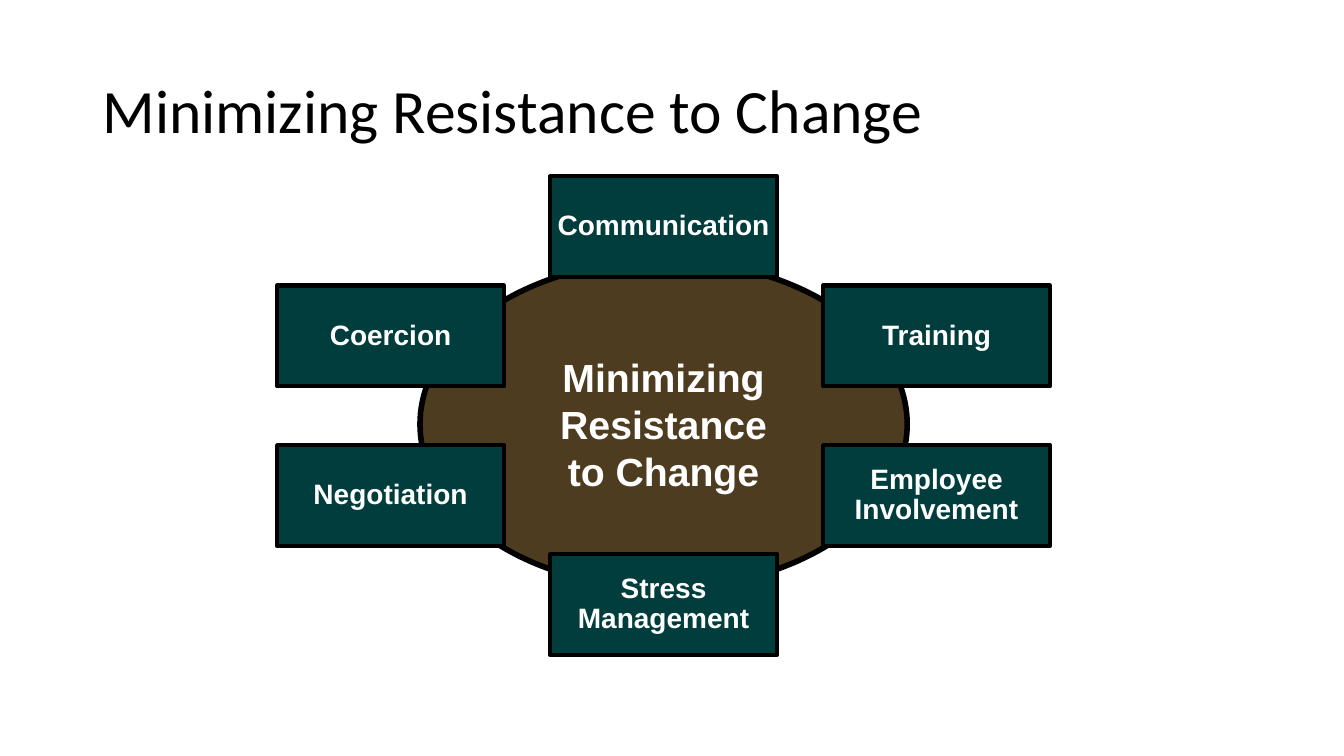
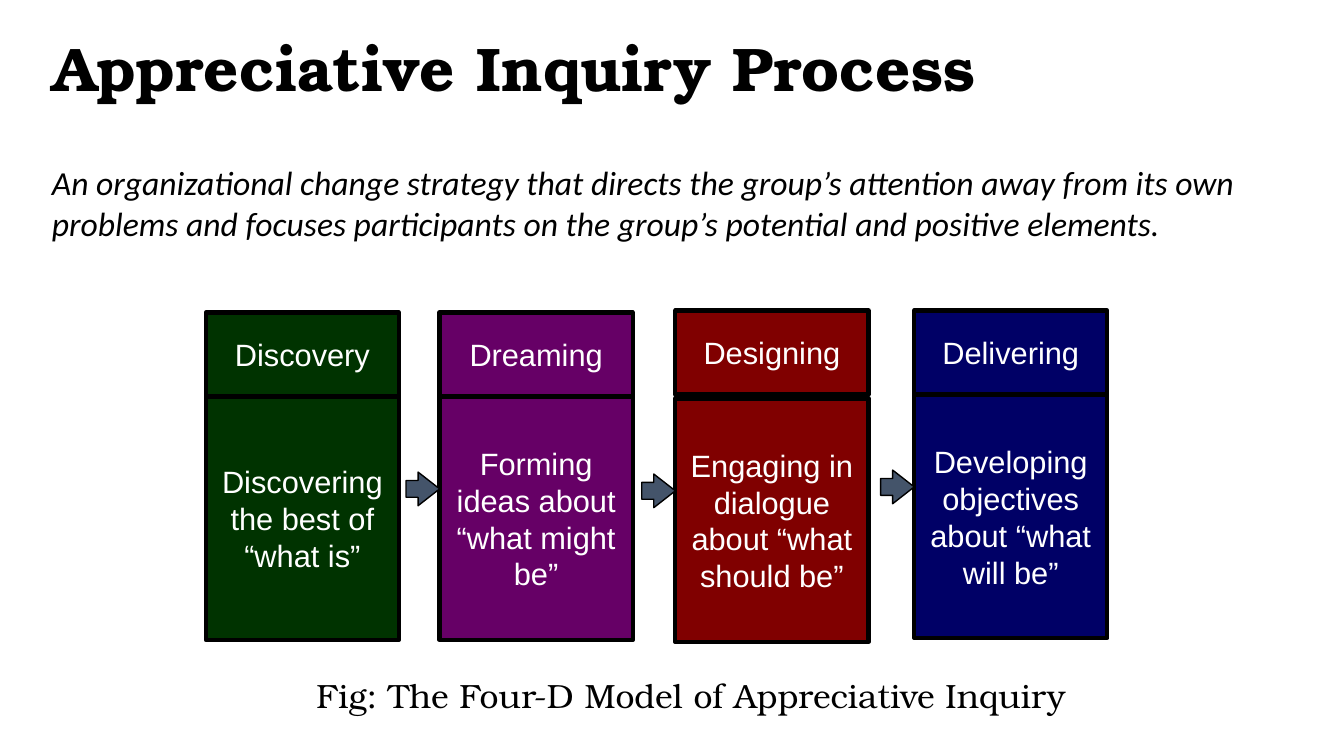
from dataclasses import dataclass

from pptx import Presentation
from pptx.dml.color import RGBColor
from pptx.enum.shapes import MSO_SHAPE
from pptx.enum.text import MSO_ANCHOR, MSO_AUTO_SIZE, PP_ALIGN
from pptx.util import Pt

RECTANGLE = MSO_SHAPE.RECTANGLE
ELLIPSE = MSO_SHAPE.OVAL
RIGHT_ARROW = MSO_SHAPE.RIGHT_ARROW
MIDDLE = MSO_ANCHOR.MIDDLE
TOP = MSO_ANCHOR.TOP
LEFT = PP_ALIGN.LEFT
CENTER = PP_ALIGN.CENTER
FIXED_SIZE = MSO_AUTO_SIZE.NONE
GROW = MSO_AUTO_SIZE.SHAPE_TO_FIT_TEXT

BLACK = "000000"
WHITE = "FFFFFF"
BROWN = "4E3C20"
TEAL = "003D3C"
SLATE = "44546A"
SANS = "Arial"
BODY_FONT = "Calibri"
SERIF = "TeX Gyre Bonum"

TITLE_ONLY = 5
METHOD_WIDTH, METHOD_HEIGHT = 162, 72
STAGE_WIDTH, HEADER_HEIGHT, BODY_HEIGHT = 138, 60, 174
ARROW_SIZE, ARROW_DROP = 24, 54


@dataclass(frozen=True)
class Method:
    label: str
    left: float
    top: float


@dataclass(frozen=True)
class Stage:
    name: str
    summary: str
    color: str
    left: float
    header_top: float
    body_top: float


METHODS = [
    Method("Communication", 393, 126),
    Method("Training", 588, 204),
    Method("Employee\nInvolvement", 588, 318),
    Method("Stress\nManagement", 393, 396),
    Method("Negotiation", 198, 318),
    Method("Coercion", 198, 204),
]

STAGES = [
    Stage("Discovery", "Discovering the best of “what is”", "003300", 147, 223.2, 283.2),
    Stage("Dreaming", "Forming ideas about “what might be”", "660066", 314, 223.2, 283.2),
    Stage("Designing", "Engaging in dialogue about “what should be”", "800000", 482.4, 221.8, 284.6),
    Stage("Delivering", "Developing objectives about “what will be”", "000066", 653, 221.8, 281.8),
]


def rgb(value: str) -> RGBColor:
    return RGBColor.from_string(value)


def write_text(shape, text: str, *, size: float, font: str, color: str = BLACK,
               bold: bool = False, italic: bool = False, align=LEFT, anchor=MIDDLE,
               wrap: bool = True, spacing: float = 1.0, fit=FIXED_SIZE) -> None:
    frame = shape.text_frame
    frame.text = text
    frame.auto_size = fit
    frame.word_wrap = wrap
    frame.vertical_anchor = anchor
    for para in frame.paragraphs:
        para.alignment = align
        para.line_spacing = spacing
        para.space_before = Pt(0)
        for span in para.runs:
            span.font.name = font
            span.font.size = Pt(size)
            span.font.bold = bold
            span.font.italic = italic
            span.font.color.rgb = rgb(color)


def add_box(shapes, kind, left: float, top: float, width: float, height: float, *,
            fill: str, line_width: float = 3):
    box = shapes.add_shape(kind, Pt(left), Pt(top), Pt(width), Pt(height))
    box.shadow.inherit = False
    box.fill.solid()
    box.fill.fore_color.rgb = rgb(fill)
    box.line.color.rgb = rgb(BLACK)
    box.line.width = Pt(line_width)
    return box


def add_note(page, text: str, left: float, top: float, width: float, height: float, *,
             font: str, italic: bool = False) -> None:
    note = page.shapes.add_textbox(Pt(left), Pt(top), Pt(width), Pt(height))
    write_text(note, text, size=24, font=font, italic=italic, anchor=TOP, fit=GROW)


def add_page(deck, title: str, left: float, top: float, *, font: str, bold: bool = False):
    page = deck.slides.add_slide(deck.slide_layouts[TITLE_ONLY])
    heading = page.shapes.title
    heading.left, heading.top = Pt(left), Pt(top)
    heading.width, heading.height = Pt(828), Pt(104.4)
    write_text(heading, title, size=44, font=font, bold=bold, spacing=0.9)
    return page


def add_method(page, method: Method) -> None:
    box = add_box(page.shapes, RECTANGLE, method.left, method.top,
                  METHOD_WIDTH, METHOD_HEIGHT, fill=TEAL)
    write_text(box, method.label, size=20, font=SANS, color=WHITE, bold=True,
               align=CENTER, wrap=False, spacing=0.9)


def add_stage(page, stage: Stage, has_arrow: bool) -> None:
    shapes = page.shapes.add_group_shape().shapes
    parts = [
        (stage.name, stage.header_top, HEADER_HEIGHT, False),
        (stage.summary, stage.body_top, BODY_HEIGHT, True),
    ]
    for text, top, height, wrap in parts:
        box = add_box(shapes, RECTANGLE, stage.left, top, STAGE_WIDTH, height,
                      fill=stage.color)
        write_text(box, text, size=22, font=SANS, color=WHITE, align=CENTER, wrap=wrap)
    if has_arrow:
        arrow = add_box(shapes, RIGHT_ARROW, stage.left - ARROW_SIZE,
                        stage.body_top + ARROW_DROP, ARROW_SIZE, ARROW_SIZE,
                        fill=SLATE, line_width=1)
        arrow.adjustments[0] = 0.5
        arrow.adjustments[1] = 0.64


def build_resistance_page(deck) -> None:
    page = add_page(deck, "Minimizing Resistance to Change", 66, 28.8, font=BODY_FONT)
    hub = add_box(page.shapes, ELLIPSE, 300, 186, 348, 234, fill=BROWN, line_width=4)
    write_text(hub, "Minimizing\nResistance\nto Change", size=28, font=SANS,
               color=WHITE, bold=True, align=CENTER, wrap=False)
    for method in METHODS:
        add_method(page, method)


def build_inquiry_page(deck) -> None:
    page = add_page(deck, "Appreciative Inquiry Process", 30, -1.4, font=SERIF, bold=True)
    add_note(page, "An organizational change strategy that directs the group’s attention "
             "away from its own problems and focuses participants on the group’s "
             "potential and positive elements.",
             30, 112.3, 904.3, 65.5, font=BODY_FONT, italic=True)
    for index, stage in enumerate(STAGES):
        add_stage(page, stage, has_arrow=index > 0)
    add_note(page, "Fig: The Four-D Model of Appreciative Inquiry",
             219, 478.8, 571.7, 36, font=SERIF)


def main() -> None:
    deck = Presentation()
    deck.slide_width, deck.slide_height = Pt(960), Pt(540)
    build_resistance_page(deck)
    build_inquiry_page(deck)
    deck.save("out.pptx")


if __name__ == "__main__":
    main()
